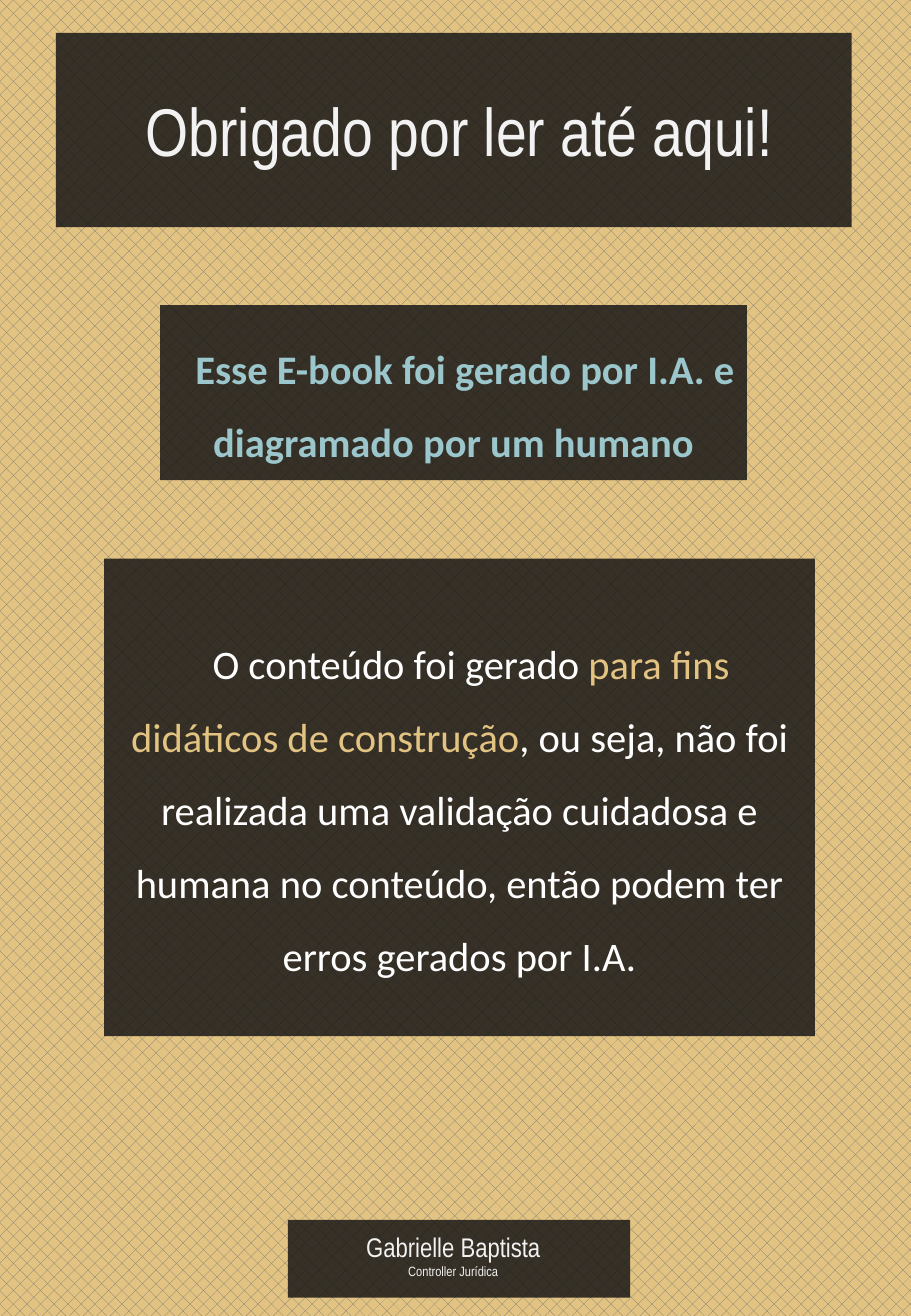
from dataclasses import dataclass

from lxml.etree import SubElement
from pptx import Presentation
from pptx.dml.color import RGBColor
from pptx.enum.dml import MSO_PATTERN
from pptx.enum.shapes import MSO_SHAPE
from pptx.enum.text import MSO_ANCHOR, MSO_AUTO_SIZE, PP_ALIGN
from pptx.oxml.ns import qn
from pptx.util import Cm, Pt


@dataclass(frozen=True)
class Theme:
    """Colours, fonts and type sizes of the slide."""
    sand: str = "E2C382"
    hatch: str = "747671"
    panel: str = "181717"
    panel_alpha: int = 85
    light: str = "F2F2F2"
    white: str = "FFFFFF"
    teal: str = "9BC6CC"
    display: str = "Arial Narrow"
    body: str = "Calibri"
    title_size: int = 40
    body_size: int = 24
    name_size: int = 16
    role_size: int = 8


THEME = Theme()


def rgb(value):
    """Turn a hex string into a colour."""
    return RGBColor.from_string(value)


def add_run(p, text, size, color, font, bold=False):
    """Add a formatted run to a paragraph."""
    r = p.add_run()
    r.text = text
    r.font.size = Pt(size)
    r.font.name = font
    r.font.bold = bold
    r.font.color.rgb = rgb(color)


def setup_frame(tf, anchor):
    """Wrap a text frame, fix its size and anchor it."""
    tf.word_wrap = True
    tf.auto_size = MSO_AUTO_SIZE.NONE
    tf.vertical_anchor = anchor


def add_panel(s, left, top, width, height):
    """Draw a translucent dark rectangle, in centimetres."""
    sp = s.shapes.add_shape(MSO_SHAPE.RECTANGLE, Cm(left), Cm(top), Cm(width), Cm(height))
    sp.shadow.inherit = False
    sp.fill.solid()
    sp.fill.fore_color.rgb = rgb(THEME.panel)
    color = sp.fill._xPr.find(qn("a:solidFill"))[0]
    SubElement(color, qn("a:alpha")).set("val", str(THEME.panel_alpha * 1000))
    sp.line.fill.background()
    return sp


def add_header(s, left, top, width, height, text):
    """Draw the title band and set the title on top of it."""
    add_panel(s, left, top, width, height)
    title = s.shapes.title
    s.shapes._spTree.append(title._element)
    title.left, title.top = Cm(left), Cm(top + 1.04)
    title.width, title.height = Cm(width + 0.23), Cm(1.96)
    tf = title.text_frame
    setup_frame(tf, MSO_ANCHOR.TOP)
    p = tf.paragraphs[0]
    p.alignment = PP_ALIGN.CENTER
    add_run(p, text, THEME.title_size, THEME.light, THEME.display)


def add_message(s, left, top, width, height, parts, bold=False):
    """Draw a panel holding one centred paragraph of coloured parts."""
    tf = add_panel(s, left, top, width, height).text_frame
    setup_frame(tf, MSO_ANCHOR.MIDDLE)
    p = tf.paragraphs[0]
    p.alignment = PP_ALIGN.CENTER
    p.line_spacing = 1.5
    pPr = p._p.get_or_add_pPr()
    pPr.set("marL", "0")
    pPr.set("indent", str(Cm(0.48)))
    for text, color in parts:
        add_run(p, text, THEME.body_size, color, THEME.body, bold)


def add_signature(s, left, top, width, height, lines):
    """Draw the signature panel with its centred lines."""
    add_panel(s, left, top, width, height)
    box = s.shapes.add_textbox(Cm(left + 0.3), Cm(top + 0.1), Cm(width - 0.84), Cm(height - 0.36))
    tf = box.text_frame
    setup_frame(tf, MSO_ANCHOR.TOP)
    for i, (text, size) in enumerate(lines):
        p = tf.add_paragraph() if i else tf.paragraphs[0]
        p.alignment = PP_ALIGN.CENTER
        add_run(p, text, size, THEME.light, THEME.display)


def add_closing_slide(prs):
    """Build the closing page."""
    s = prs.slides.add_slide(prs.slide_layouts[5])
    fill = s.background.fill
    fill.patterned()
    fill.pattern = MSO_PATTERN.PERCENT_25
    fill.fore_color.rgb = rgb(THEME.hatch)
    fill.back_color.rgb = rgb(THEME.sand)

    add_message(s, 3.35, 6.38, 12.27, 3.66, [
        ("Esse E-book foi gerado por I.A. e diagramado por um humano", THEME.teal),
    ], bold=True)
    add_header(s, 1.17, 0.69, 16.64, 4.06, "Obrigado por ler até aqui!")
    add_message(s, 2.18, 11.68, 14.86, 9.98, [
        ("O conteúdo foi gerado ", THEME.white),
        ("para fins didáticos de construção", THEME.sand),
        (", ou seja, não foi realizada uma validação cuidadosa e humana no conteúdo, "
         "então podem ter erros gerados por I.A.", THEME.white),
    ])
    add_signature(s, 6.02, 25.5, 7.16, 1.63, [
        ("Gabrielle Baptista", THEME.name_size),
        ("Controller Jurídica", THEME.role_size),
    ])


def main():
    """Create and save the presentation."""
    prs = Presentation()
    prs.slide_width, prs.slide_height = Cm(19.05), Cm(27.51)
    add_closing_slide(prs)
    prs.save("out.pptx")


if __name__ == "__main__":
    main()
